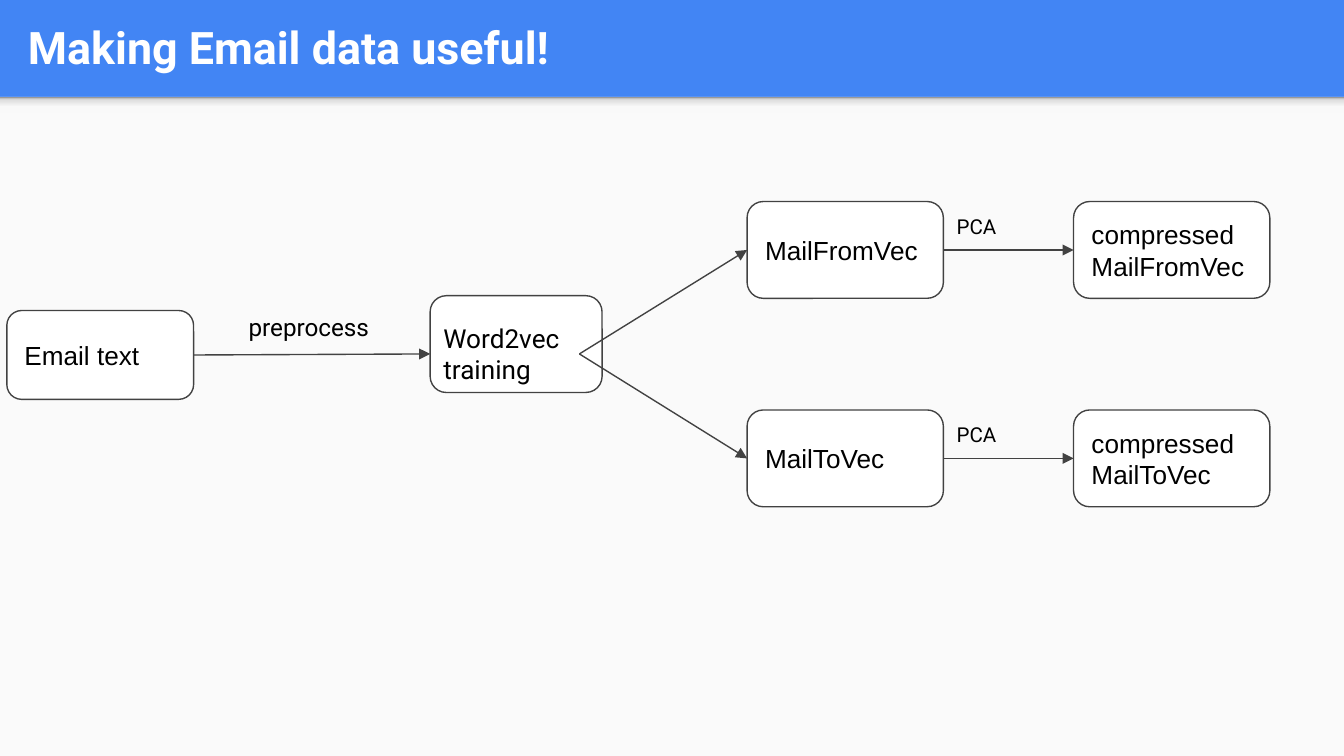
from dataclasses import dataclass

from lxml import etree
from pptx import Presentation
from pptx.dml.color import RGBColor
from pptx.enum.shapes import MSO_CONNECTOR, MSO_SHAPE
from pptx.enum.text import MSO_ANCHOR, PP_ALIGN
from pptx.oxml.ns import qn
from pptx.util import Cm, Pt

STRAIGHT = MSO_CONNECTOR.STRAIGHT
RECTANGLE, ROUNDED = MSO_SHAPE.RECTANGLE, MSO_SHAPE.ROUNDED_RECTANGLE
TOP, MIDDLE = MSO_ANCHOR.TOP, MSO_ANCHOR.MIDDLE
LEFT = PP_ALIGN.LEFT

BLUE, PAPER, WHITE, BLACK, OUTLINE = "4285F4", "FAFAFA", "FFFFFF", "000000", "424242"
LEFT_SITE, RIGHT_SITE = 1, 3

WIDTH, HEIGHT = 25.4, 14.29
HEADER_HEIGHT = 1.83
BOX_WIDTH, BOX_HEIGHT = 3.71, 1.83
VECTOR_LEFT, COMPRESSED_LEFT = 14.12, 20.29


@dataclass
class Area:
    """Position and size in centimetres."""
    left: float
    top: float
    width: float
    height: float

    def lengths(self):
        return Cm(self.left), Cm(self.top), Cm(self.width), Cm(self.height)


@dataclass
class Style:
    size: float
    font: str = "Roboto"
    color: str = BLACK
    bold: bool = False
    anchor: MSO_ANCHOR = TOP


@dataclass
class Branch:
    name: str
    top: float


NODE = Style(14, "Arial", anchor=MIDDLE)
BRANCHES = [Branch("MailFromVec", 3.81), Branch("MailToVec", 7.75)]


def rgb(color: str) -> RGBColor:
    return RGBColor.from_string(color)


def write(shape, lines: list[str], style: Style) -> None:
    frame = shape.text_frame
    frame.word_wrap = True
    frame.vertical_anchor = style.anchor
    frame.margin_left = frame.margin_right = Cm(0.25)
    frame.margin_top = frame.margin_bottom = Cm(0.25)
    frame.text = "\n".join(lines)
    for paragraph in frame.paragraphs:
        paragraph.alignment = LEFT
        font = paragraph.font
        font.size, font.name, font.bold = Pt(style.size), style.font, style.bold
        font.color.rgb = rgb(style.color)


def add_label(slide, area: Area, text: str, style: Style):
    label = slide.shapes.add_textbox(*area.lengths())
    write(label, [text], style)
    return label


def add_panel(slide, area: Area, color: str):
    panel = slide.shapes.add_shape(RECTANGLE, *area.lengths())
    panel.shadow.inherit = False
    panel.fill.solid()
    panel.fill.fore_color.rgb = rgb(color)
    panel.line.fill.background()
    return panel


def add_node(slide, area: Area, *lines: str):
    node = slide.shapes.add_shape(ROUNDED, *area.lengths())
    node.shadow.inherit = False
    node.fill.solid()
    node.fill.fore_color.rgb = rgb(WHITE)
    node.line.color.rgb = rgb(OUTLINE)
    node.line.width = Pt(0.75)
    if lines:
        write(node, list(lines), NODE)
    return node


def add_arrow(slide, source, target) -> None:
    arrow = slide.shapes.add_connector(STRAIGHT, 0, 0, 0, 0)
    arrow.begin_connect(source, RIGHT_SITE)
    arrow.end_connect(target, LEFT_SITE)
    arrow.line.color.rgb = rgb(OUTLINE)
    arrow.line.width = Pt(0.75)
    properties = arrow.line._get_or_add_ln()
    etree.SubElement(properties, qn("a:tailEnd"), type="triangle")
    etree.SubElement(arrow._element.spPr, qn("a:effectLst"))


def set_gradient(shape, stops: list[tuple[int, str]]) -> None:
    """Fill from bottom to top with (percent, colour) stops."""
    shape.fill.gradient()
    shape.fill.gradient_angle = 90
    stop_list = shape._element.spPr.find(".//" + qn("a:gsLst"))
    for stop in list(stop_list):
        stop_list.remove(stop)
    for percent, color in stops:
        stop = etree.SubElement(stop_list, qn("a:gs"), pos=str(percent * 1000))
        etree.SubElement(stop, qn("a:srgbClr"), val=color)


presentation = Presentation()
presentation.slide_width, presentation.slide_height = Cm(WIDTH), Cm(HEIGHT)
slide = presentation.slides.add_slide(presentation.slide_layouts[6])

# Blue header, pale body and the shade under the header
slide.background.fill.solid()
slide.background.fill.fore_color.rgb = rgb(BLUE)
add_panel(slide, Area(0, HEADER_HEIGHT, WIDTH, HEIGHT - HEADER_HEIGHT), PAPER)
shade = add_panel(slide, Area(0, HEADER_HEIGHT, WIDTH, 0.3), PAPER)
set_gradient(shade, [(0, "F9F9F9"), (36, "F9F9F9"), (80, "DEDEDE"), (100, "999999")])
add_label(slide, Area(0.28, 0.05, 24.5, 1.68), "Making Email data useful!",
          Style(24, color=WHITE, bold=True, anchor=MIDDLE))

# Email text to Word2vec training
email = add_node(slide, Area(0.13, 5.87, 3.53, 1.68), "Email text")
add_node(slide, Area(8.13, 5.59, 3.25, BOX_HEIGHT))
training = add_label(slide, Area(8.13, 5.84, 2.82, 1.7), "Word2vec training", Style(14))
add_arrow(slide, email, training)
add_label(slide, Area(4.45, 5.66, 4.14, 1.07), "preprocess", Style(13))

# One branch for each vector: Word2vec, vector, compressed vector
for branch in BRANCHES:
    vector = add_node(slide, Area(VECTOR_LEFT, branch.top, BOX_WIDTH, BOX_HEIGHT), branch.name)
    compressed = add_node(slide, Area(COMPRESSED_LEFT, branch.top, BOX_WIDTH, BOX_HEIGHT),
                          "compressed", branch.name)
    add_arrow(slide, training, vector)
    add_arrow(slide, vector, compressed)
    add_label(slide, Area(VECTOR_LEFT + BOX_WIDTH, branch.top, 4.14, 0.99), "PCA", Style(11))

presentation.save("out.pptx")
